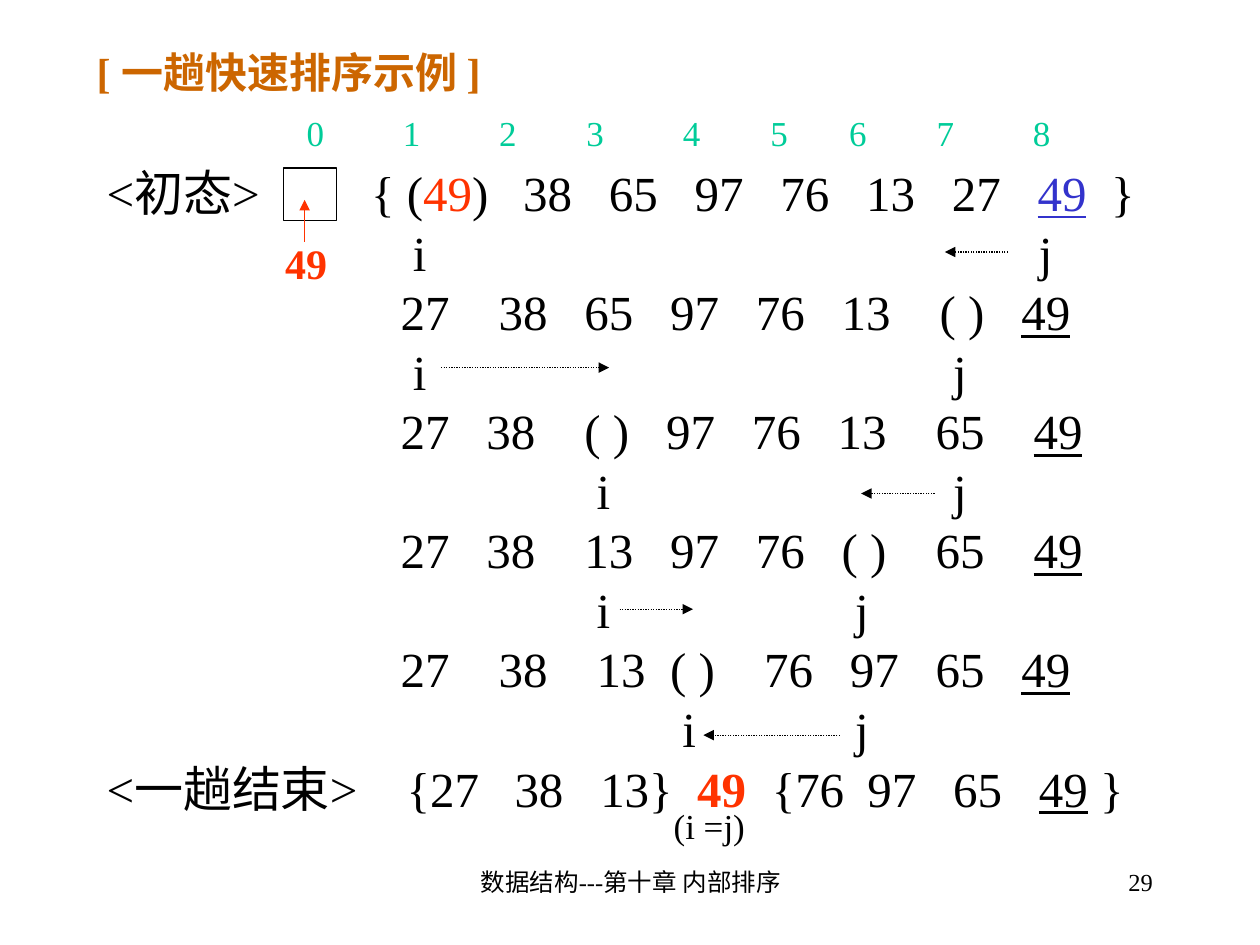
from lxml import etree
from pptx import Presentation
from pptx.dml.color import RGBColor
from pptx.enum.dml import MSO_LINE
from pptx.enum.shapes import MSO_CONNECTOR, MSO_SHAPE
from pptx.enum.text import MSO_ANCHOR, PP_ALIGN
from pptx.oxml.ns import qn
from pptx.util import Cm, Pt

FONT = "Times New Roman"
BLACK, RED, BLUE, GREEN, ORANGE = "000000", "FF3300", "3333CC", "00CC99", "CC6600"

# Styles of the marked keys
PLAIN = {}
PIVOT = {"color": RED}
PLACED = {"color": RED, "bold": True}
TWIN = {"underline": True}
FIRST_TWIN = {"color": BLUE, "underline": True}

# Each step: tab stops counted in space widths, then its runs
STEPS = [
    ([21.6, 34, 41, 48, 55, 62, 69, 76, 82],
     [("<初态>\t{ (", PLAIN), ("49", PIVOT), (")\t38\t65\t97\t76\t13\t27\t", PLAIN),
      ("49", FIRST_TWIN), ("\t}", PLAIN)]),
    ([25, 76.1], [("\ti\tj", PLAIN)]),
    ([24, 32, 39, 46, 53, 60, 68, 74.67],
     [("\t27\t38\t65\t97\t76\t13\t( )\t", PLAIN), ("49", TWIN)]),
    ([25, 69.1], [("\ti\tj", PLAIN)]),
    ([24, 31, 39, 45.67, 52.67, 59.67, 67.67, 75.67],
     [("\t27\t38\t( )\t97\t76\t13\t65\t", PLAIN), ("49", TWIN)]),
    ([40, 69.1], [("\ti\tj", PLAIN)]),
    ([24, 31, 39, 46, 53, 60, 67.67, 75.67],
     [("\t27\t38\t13\t97\t76\t( )\t65\t", PLAIN), ("49", TWIN)]),
    ([40, 61.1], [("\ti\tj", PLAIN)]),
    ([24, 32, 40, 46, 53.67, 60.67, 67.67, 74.67],
     [("\t27\t38\t13\t( )\t76\t97\t65\t", PLAIN), ("49", TWIN)]),
    ([47, 61.1], [("\ti\tj", PLAIN)]),
    ([24.5, 33.3, 40.3, 48.2, 54.3, 62.1, 69.1, 76.1, 81.1],
     [("<一趟结束>\t{27\t38\t13}\t", PLAIN), ("49", PLACED),
      ("\t{76\t97\t65\t", PLAIN), ("49", TWIN), ("\t}", PLAIN)]),
]

# Pointer moves inside the steps box: start x, end x, y in cm
MOVES = [(18.42, 17.15, 1.69), (6.99, 10.38, 4.02), (16.94, 15.46, 6.56),
         (10.59, 12.07, 8.89), (15.03, 12.28, 11.43)]


def rgb(color):
    return RGBColor.from_string(color)


def set_font(paragraph, size, color, bold=False):
    font = paragraph.font
    font.name, font.size, font.bold = FONT, Pt(size), bold
    font.color.rgb = rgb(color)


def set_tabs(paragraph, stops, size):
    """Place tab stops counted in spaces, each a quarter of the font size."""
    tab_list = etree.SubElement(paragraph._p.get_or_add_pPr(), qn("a:tabLst"))
    for stop in stops:
        position = Pt(size / 4 * stop)
        etree.SubElement(tab_list, qn("a:tab"), pos=str(int(position)), algn="l")


def add_frame(slide, left, top, width, height):
    shape = slide.shapes.add_textbox(Cm(left), Cm(top), Cm(width), Cm(height))
    shape.text_frame.word_wrap = True
    return shape.text_frame


def add_label(slide, box, text, size, color=BLACK, bold=False,
              align=PP_ALIGN.LEFT, stops=()):
    frame = add_frame(slide, *box)
    paragraph = frame.paragraphs[0]
    paragraph.add_run().text = text
    paragraph.alignment = align
    if stops:
        set_tabs(paragraph, stops, size)
    set_font(paragraph, size, color, bold)
    return frame


def add_arrow(slide, x1, y1, x2, y2, color=BLACK, dash=None):
    arrow = slide.shapes.add_connector(
        MSO_CONNECTOR.STRAIGHT, Cm(x1), Cm(y1), Cm(x2), Cm(y2))
    arrow.line.color.rgb = rgb(color)
    arrow.line.width = Pt(0.75)
    if dash:
        arrow.line.dash_style = dash
    etree.SubElement(arrow.line._get_or_add_ln(), qn("a:tailEnd"), type="triangle")
    etree.SubElement(arrow._element.spPr, qn("a:effectLst"))


def add_steps(slide, left, top, width, height):
    # Sequence after each exchange, with the i and j rows between
    frame = add_frame(slide, left, top, width, height)
    for number, (stops, runs) in enumerate(STEPS):
        paragraph = frame.add_paragraph() if number else frame.paragraphs[0]
        paragraph.line_spacing = Pt(27)
        if number:
            paragraph.space_before = Pt(7)
        set_tabs(paragraph, stops, 28)
        set_font(paragraph, 28, BLACK)
        for text, style in runs:
            run = paragraph.add_run()
            run.text = text
            run.font.name, run.font.size = FONT, Pt(28)
            run.font.color.rgb = rgb(style.get("color", BLACK))
            run.font.bold = style.get("bold", False)
            run.font.underline = style.get("underline", False)
    # Pointer moves
    for start, end, y in MOVES:
        add_arrow(slide, left + start, top + y, left + end, top + y,
                  dash=MSO_LINE.ROUND_DOT)
    # Meeting point of i and j
    add_label(slide, (left + 11.43, top + 12.7, 2.33, 1.12), "(i =j)", 20)


def add_pivot_cell(slide, left, top):
    # Cell 0, which receives the pivot key
    cell = slide.shapes.add_shape(
        MSO_SHAPE.RECTANGLE, Cm(left + 0.22), Cm(top), Cm(1.06), Cm(1.06))
    cell.shadow.inherit = False
    cell.fill.background()
    cell.line.color.rgb = rgb(BLACK)
    cell.line.width = Pt(0.75)
    add_arrow(slide, left + 0.64, top + 1.48, left + 0.64, top + 0.64, RED)
    add_label(slide, (left, top + 1.27, 1.69, 1.27), "49", 24, RED, bold=True)


def add_heading(slide, left, top, width):
    # Title and the row of positions
    title = add_label(slide, (left, top, width, 1.47), "[ 一趟快速排序示例 ]",
                      24, ORANGE, bold=True)
    title.vertical_anchor = MSO_ANCHOR.MIDDLE
    positions = "\t".join(str(index) for index in range(9))
    add_label(slide, (left + 4.23, top + 1.41, 15.88, 1.12), positions, 20, GREEN,
              stops=[11, 22, 32, 43, 53, 62, 72, 83])


def add_footer(slide, left, top):
    # Chapter name and page number
    add_label(slide, (left, top, 8.05, 1.27), "数据结构---第十章 内部排序", 14,
              align=PP_ALIGN.CENTER)
    add_label(slide, (left + 9.52, top, 5.28, 1.27), "29", 14, align=PP_ALIGN.RIGHT)


def main():
    presentation = Presentation()
    presentation.slide_width, presentation.slide_height = Cm(25.4), Cm(19.05)
    slide = presentation.slides.add_slide(presentation.slide_layouts[6])
    add_footer(slide, 8.69, 17.35)
    add_heading(slide, 1.7, 0.71, 21.59)
    add_steps(slide, 1.9, 3.39, 21.59, 13.55)
    add_pivot_cell(slide, 5.5, 3.39)
    presentation.save("out.pptx")


if __name__ == "__main__":
    main()
